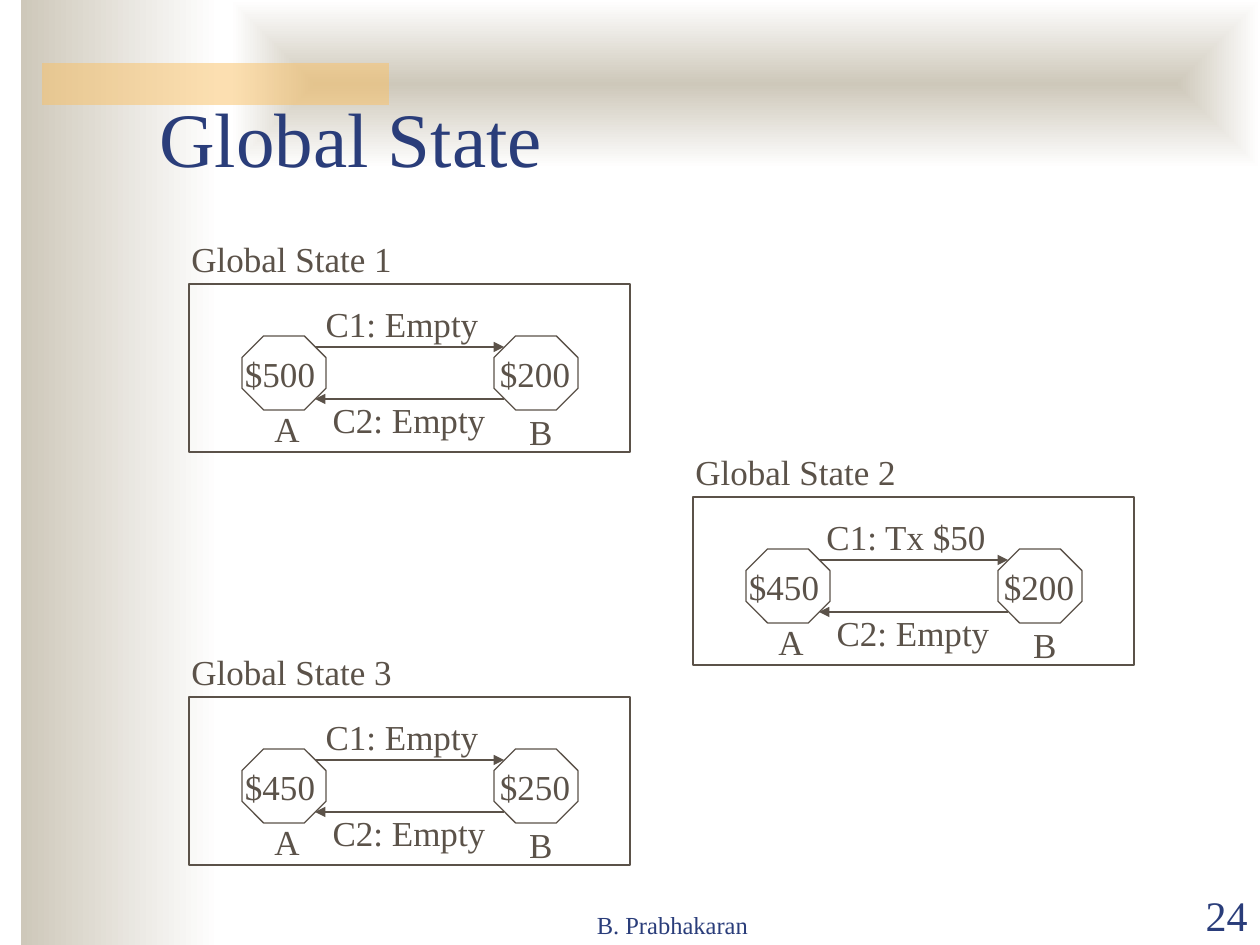
"""Build the Global State slide: three snapshots of two accounts and their channels."""
from dataclasses import dataclass

from lxml import etree
from pptx import Presentation
from pptx.dml.color import RGBColor
from pptx.enum.shapes import MSO_CONNECTOR, MSO_SHAPE
from pptx.enum.text import MSO_ANCHOR, MSO_AUTO_SIZE, PP_ALIGN
from pptx.oxml.ns import qn
from pptx.util import Pt

PX = 914400 / 126
RECTANGLE, OCTAGON = MSO_SHAPE.RECTANGLE, MSO_SHAPE.OCTAGON
STRAIGHT = MSO_CONNECTOR.STRAIGHT
LEFT, CENTER, RIGHT = PP_ALIGN.LEFT, PP_ALIGN.CENTER, PP_ALIGN.RIGHT
MIDDLE, BOTTOM = MSO_ANCHOR.MIDDLE, MSO_ANCHOR.BOTTOM
FIT_SHAPE = MSO_AUTO_SIZE.SHAPE_TO_FIT_TEXT


@dataclass(frozen=True)
class Theme:
    """Colours, font and type sizes of the deck."""
    navy: str = "2A3D7A"
    brown: str = "5B5249"
    sand: str = "CEC8BA"
    white: str = "FFFFFF"
    amber: str = "FAC164"
    font: str = "Times New Roman"
    title: int = 44
    label: int = 20
    footer: int = 14
    number: int = 24
    stroke: float = 0.75


THEME = Theme()
STATES = [
    (189, 284, "Global State 1", "$500", "$200", "C1: Empty"),
    (693, 497, "Global State 2", "$450", "$200", "C1: Tx $50"),
    (189, 697, "Global State 3", "$450", "$250", "C1: Empty"),
]


def emu(*lengths):
    """Turn px lengths into EMU."""
    return [round(length * PX) for length in lengths]


def color(value):
    """Return a colour from its hex value."""
    return RGBColor.from_string(value)


def add_band(slide, place, from_center=False):
    """Add a borderless band that fades from sand to white."""
    band = slide.shapes.add_shape(RECTANGLE, *emu(*place))
    band.shadow.inherit = False
    band.line.fill.background()
    band.fill.gradient()
    band.fill.gradient_angle = 0
    for stop, shade in zip(band.fill.gradient_stops, (THEME.sand, THEME.white)):
        stop.color.rgb = color(shade)
    if from_center:
        gradient = band._element.spPr.find(qn("a:gradFill"))
        gradient.remove(gradient.find(qn("a:lin")))
        fade = etree.SubElement(gradient, qn("a:path"), {"path": "rect"})
        etree.SubElement(fade, qn("a:fillToRect"), dict.fromkeys("ltrb", "50000"))


def add_accent(slide, place):
    """Add the half-transparent amber bar."""
    bar = slide.shapes.add_shape(RECTANGLE, *emu(*place))
    bar.shadow.inherit = False
    bar.line.fill.background()
    bar.fill.solid()
    bar.fill.fore_color.rgb = color(THEME.amber)
    tint = bar._element.spPr.find(qn("a:solidFill"))[0]
    etree.SubElement(tint, qn("a:alpha"), {"val": "50000"})


def add_outline(slide, kind, place):
    """Add an unfilled outlined shape."""
    outline = slide.shapes.add_shape(kind, *emu(*place))
    outline.shadow.inherit = False
    outline.fill.background()
    outline.line.color.rgb = color(THEME.brown)
    outline.line.width = Pt(THEME.stroke)


def add_text(slide, place, text, size, ink, align=LEFT, **frame_format):
    """Add a one-line text box."""
    frame = slide.shapes.add_textbox(*emu(*place)).text_frame
    for name, value in ({"word_wrap": True, "vertical_anchor": BOTTOM} | frame_format).items():
        setattr(frame, name, value)
    para = frame.paragraphs[0]
    para.alignment = align
    span = para.add_run()
    span.text = text
    for name, value in {"name": THEME.font, "size": Pt(size)}.items():
        setattr(span.font, name, value)
    span.font.color.rgb = color(ink)


def add_label(slide, place, text, align=CENTER):
    """Add an unwrapped diagram label."""
    add_text(slide, place, text, THEME.label, THEME.brown, align,
             word_wrap=False, vertical_anchor=MIDDLE, auto_size=FIT_SHAPE)


def add_arrow(slide, start, end, level):
    """Add a horizontal arrow from start to end."""
    arrow = slide.shapes.add_connector(STRAIGHT, *emu(start, level, end, level))
    arrow.line.color.rgb = color(THEME.brown)
    arrow.line.width = Pt(THEME.stroke)
    etree.SubElement(arrow.line._get_or_add_ln(), qn("a:tailEnd"), {"type": "triangle"})
    etree.SubElement(arrow._element.spPr, qn("a:effectLst"))


def add_state(slide, left, top, name, amount_a, amount_b, channel):
    """Add one global state with its accounts, channels and labels."""
    add_outline(slide, RECTANGLE, (left, top, 441, 168))
    for offset in (53, 305):
        add_outline(slide, OCTAGON, (left + offset, top + 52, 84, 74))
    near, far = left + 126, left + 315
    add_arrow(slide, near, far, top + 63)
    add_arrow(slide, far, near, top + 115)
    labels = [
        (43, 62, 96, amount_a), (298, 62, 96, amount_b),
        (72, 117, 52, "A"), (327, 120, 50, "B"),
        (113, 12, 200, channel), (120, 108, 200, "C2: Empty"),
    ]
    for x, y, width, text in labels:
        add_label(slide, (left + x, top + y, width, 55), text)
    add_label(slide, (left - 10, top - 53, 230, 55), name, LEFT)


def main():
    """Build and save the deck."""
    deck = Presentation()
    deck.slide_width, deck.slide_height = emu(1260, 945)
    slide = deck.slides.add_slide(deck.slide_layouts[6])
    add_band(slide, (21, 0, 199, 945))
    add_band(slide, (231, 0, 1029, 168), from_center=True)
    add_accent(slide, (42, 63, 347, 42))
    add_text(slide, (473, 883, 399, 63), "B. Prabhakaran", THEME.footer, THEME.navy, CENTER)
    add_text(slide, (1134, 883, 126, 63), "24", THEME.number, THEME.navy, RIGHT)
    add_text(slide, (147, 32, 1071, 157), "Global State", THEME.title, THEME.navy)
    for state in STATES:
        add_state(slide, *state)
    deck.save("out.pptx")


if __name__ == "__main__":
    main()
